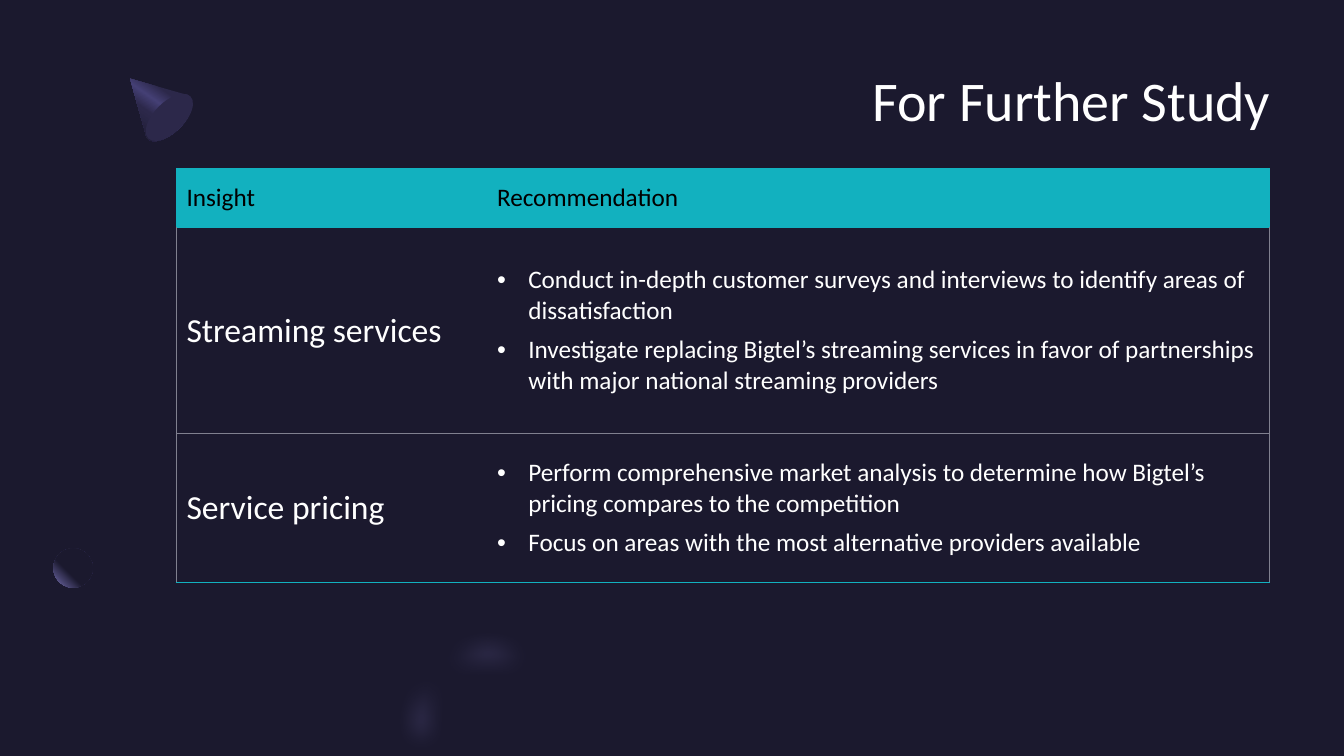
import pptx
import pptx.util
import pptx.dml.color
import pptx.enum.shapes
import pptx.enum.text
import pptx.oxml
import pptx.oxml.ns

Inches = pptx.util.Inches
COLORS = {"night": "1B192E", "indigo": "2C284A", "violet": "454075", "lilac": "7771B2",
          "teal": "12B1BF", "gray": "80808F", "white": "FFFFFF", "black": "000000"}
NAMESPACE = 'xmlns:a="http://schemas.openxmlformats.org/drawingml/2006/main"'


def write(para, text, size=18, color="white", bullet=False):
    if bullet:
        properties = para._p.get_or_add_pPr()
        properties.set("marL", str(Inches(0.31)))
        properties.set("indent", str(-Inches(0.31)))
        para.space_after = pptx.util.Pt(6)
        properties.append(pptx.oxml.parse_xml(f'<a:buFont {NAMESPACE} typeface="Arial"/>'))
        properties.append(pptx.oxml.parse_xml(f'<a:buChar {NAMESPACE} char="•"/>'))
    span = para.add_run()
    span.text = text
    span.font.name = "Calibri"
    span.font.size = pptx.util.Pt(size)
    span.font.bold = False
    span.font.color.rgb = pptx.dml.color.RGBColor.from_string(COLORS[color])


def paint(shape, color=None, stops=(), direction="", alpha=100, soft=0):
    shape.shadow.inherit = False
    shape.line.fill.background()
    shape.fill.solid()
    shape.fill.fore_color.rgb = pptx.dml.color.RGBColor.from_string(COLORS[color or stops[0][1]])
    properties = shape._element.spPr
    solid = properties.find(pptx.oxml.ns.qn("a:solidFill"))
    if stops:
        marks = "".join(f'<a:gs pos="{place * 1000}"><a:srgbClr val="{COLORS[name]}"/></a:gs>'
                        for place, name in stops)
        properties.replace(solid, pptx.oxml.parse_xml(
            f'<a:gradFill {NAMESPACE} rotWithShape="1"><a:gsLst>{marks}</a:gsLst>{direction}</a:gradFill>'))
    if alpha < 100:
        solid[0].append(pptx.oxml.parse_xml(f'<a:alpha {NAMESPACE} val="{alpha * 1000}"/>'))
    if soft:
        properties.find(pptx.oxml.ns.qn("a:effectLst")).append(
            pptx.oxml.parse_xml(f'<a:softEdge {NAMESPACE} rad="{pptx.util.Pt(soft)}"/>'))


deck = pptx.Presentation()
deck.slide_width, deck.slide_height = Inches(13.33), Inches(7.5)
page = deck.slides.add_slide(deck.slide_layouts[5])
page.background.fill.solid()
page.background.fill.fore_color.rgb = pptx.dml.color.RGBColor.from_string(COLORS["night"])
kinds = pptx.enum.shapes.MSO_SHAPE

backdrop = page.shapes.add_shape(kinds.RECTANGLE, 0, 0, deck.slide_width, deck.slide_height)
paint(backdrop, "night")
page.shapes._spTree.insert(2, backdrop._element)

title = page.shapes.title
title.left, title.top, title.width, title.height = map(Inches, (0.53, 0.31, 12.07, 1.35))
frame = title.text_frame
frame.margin_left = frame.margin_right = frame.margin_top = frame.margin_bottom = 0
frame.vertical_anchor = pptx.enum.text.MSO_ANCHOR.MIDDLE
frame.paragraphs[0].alignment = pptx.enum.text.PP_ALIGN.RIGHT
write(frame.paragraphs[0], "For Further Study", size=40)

cone_stops = [(30, "indigo"), (45, "violet"), (60, "indigo"), (100, "night")]
moon_stops = [(60, "night"), (100, "lilac")]
moon_focus = '<a:path path="circle"><a:fillToRect l="100000" b="100000"/></a:path>'
outlines = {
    "cone": [(1.29, 0.78), (1.85, 0.94), (1.86, 0.94), (1.87, 0.95, 1.88, 0.95, 1.88, 0.96),
             (1.94, 1.02, 1.89, 1.16, 1.78, 1.27), (1.66, 1.39, 1.52, 1.43, 1.47, 1.38),
             (1.46, 1.37, 1.45, 1.36, 1.45, 1.35)],
    "ring": [(4.85, 6.16), (5.11, 6.16, 5.37, 6.26, 5.57, 6.46), (5.21, 6.81),
             (5.01, 6.62, 4.69, 6.62, 4.49, 6.81), (4.32, 6.99, 4.3, 7.25, 4.43, 7.45),
             (4.47, 7.5), (3.89, 7.5), (3.88, 7.46), (3.78, 7.12, 3.86, 6.73, 4.13, 6.46),
             (4.33, 6.26, 4.59, 6.16, 4.85, 6.16)],
    "glow": [(4.8, 6.21), (5.11, 6.19, 5.43, 6.32, 5.68, 6.57), (5.33, 6.93),
             (5.1, 6.7, 4.76, 6.68, 4.56, 6.88), (4.42, 7.03, 4.39, 7.26, 4.48, 7.46),
             (4.5, 7.5), (3.94, 7.5), (3.92, 7.43), (3.84, 7.08, 3.91, 6.72, 4.16, 6.48),
             (4.33, 6.3, 4.56, 6.21, 4.8, 6.21)]}
shapes = {}
for name, (start, *steps) in outlines.items():
    points = [(round(step[i] * 100), round(step[i + 1] * 100))
              for step in steps for i in range(0, len(step), 2)]
    builder = page.shapes.build_freeform(round(start[0] * 100), round(start[1] * 100),
                                         scale=Inches(0.01))
    builder.add_line_segments(points, close=True)
    shapes[name] = builder.convert_to_shape()
    lines = iter(list(shapes[name]._element.iter(pptx.oxml.ns.qn("a:lnTo"))))
    for step in steps:
        line = next(lines)
        if len(step) == 6:
            curve = pptx.oxml.parse_xml(f"<a:cubicBezTo {NAMESPACE}/>")
            line.addprevious(curve)
            for control in (line, next(lines), next(lines)):
                curve.append(control[0])
                control.getparent().remove(control)
    if name == "cone":
        for part, place, turn in [("cone base", (1.53, 0.87, 0.3, 0.59), 45),
                                  ("moon", (0.53, 5.44, 0.39, 0.39), 0)]:
            shapes[part] = page.shapes.add_shape(kinds.OVAL, *map(Inches, place))
            shapes[part].rotation = turn
shapes["ring end"] = page.shapes.add_shape(kinds.OVAL, *map(Inches, (5.33, 6.38, 0.12, 0.51)))
shapes["ring end"].rotation = 45
paint(shapes["cone"], stops=cone_stops, direction='<a:lin ang="7500000" scaled="0"/>')
paint(shapes["cone base"], "indigo")
paint(shapes["moon"], stops=moon_stops, direction=moon_focus)
paint(shapes["ring"], "night")
paint(shapes["glow"], "lilac", alpha=40, soft=15)
paint(shapes["ring end"], "night")

rows = [
    (0.59, "Insight", ["Recommendation"]),
    (2.04, "Streaming services", [
        "Conduct in-depth customer surveys and interviews to identify areas of dissatisfaction",
        "Investigate replacing Bigtel’s streaming services in favor of partnerships with major "
        "national streaming providers"]),
    (1.48, "Service pricing", [
        "Perform comprehensive market analysis to determine how Bigtel’s pricing compares to the "
        "competition",
        "Focus on areas with the most alternative providers available"])]
table = page.shapes.add_table(3, 2, *map(Inches, (1.75, 1.67, 10.84, 4.11))).table
table.horz_banding = False
table.columns[0].width, table.columns[1].width = Inches(3.08), Inches(7.76)
for row, (height, insight, advice) in enumerate(rows):
    table.rows[row].height = Inches(height)
    header = row == 0
    side = "teal" if header else "gray"
    for column, texts in enumerate(([insight], advice)):
        cell = table.cell(row, column)
        cell.vertical_anchor = pptx.enum.text.MSO_ANCHOR.MIDDLE
        borders = {"lnL": side if column == 0 else None, "lnR": side if column == 1 else None,
                   "lnT": "gray" if row == 2 else "teal",
                   "lnB": "gray" if row == 1 else "teal"}
        for edge, color in borders.items():
            fill = (f'<a:solidFill><a:srgbClr val="{COLORS[color]}"/></a:solidFill>'
                    if color else "<a:noFill/>")
            cell._tc.get_or_add_tcPr().append(pptx.oxml.parse_xml(
                f'<a:{edge} {NAMESPACE} w="{pptx.util.Pt(0.5)}">{fill}</a:{edge}>'))
        if header:
            cell.fill.solid()
            cell.fill.fore_color.rgb = pptx.dml.color.RGBColor.from_string(COLORS["teal"])
        else:
            cell.fill.background()
        for index, text in enumerate(texts):
            paras = cell.text_frame
            para = paras.paragraphs[0] if index == 0 else paras.add_paragraph()
            write(para, text, size=18 if header or column else 24,
                  color="black" if header else "white", bullet=not header and column == 1)

deck.save("out.pptx")
